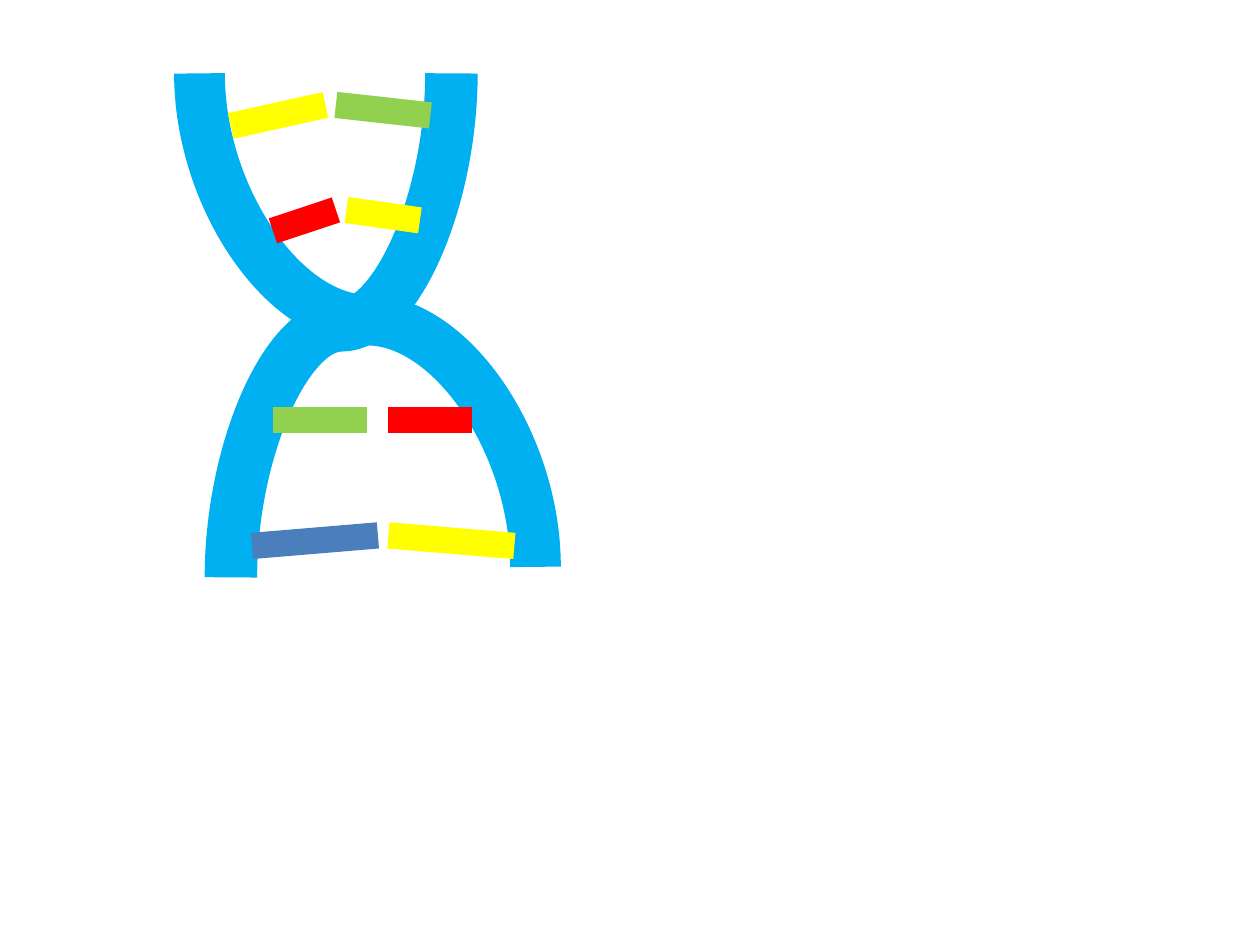
import pptx
import pptx.dml.color
import pptx.enum.shapes
import pptx.oxml
import pptx.oxml.ns
import pptx.util

Cm = pptx.util.Cm
CONNECTOR = pptx.enum.shapes.MSO_CONNECTOR
GRID = 2.54 / 12
BLUE, STEEL, YELLOW, RED, GREEN = "00B0F0", "4B7EBC", "FFFF00", "FF0000", "92D050"

STRANDS = [
    ((0, 0), (32, 47), 29),
    ((24, 0), (3, 48), 30),
]
BASES = [
    ((3, 5), (12, 3), YELLOW),
    ((7, 15), (13, 13), RED),
    ((13, 3), (22, 4), GREEN),
    ((14, 13), (21, 14), YELLOW),
    ((7, 33), (16, 33), GREEN),
    ((18, 33), (26, 33), RED),
    ((5, 45), (17, 44), STEEL),
    ((18, 44), (30, 45), YELLOW),
]


def rgb(color):
    return pptx.dml.color.RGBColor.from_string(color)


def draw_line(slide, kind, start, end, color, width):
    line = slide.shapes.add_connector(kind, *(Cm(v) for v in start + end))
    line.line.color.rgb = rgb(color)
    line.line.width = pptx.util.Pt(width)
    properties = line._element.spPr
    properties.append(pptx.oxml.parse_xml(
        "<a:effectLst %s/>" % pptx.oxml.ns.nsdecls("a")))
    return properties


def draw_strand(slide, top, bottom, width):
    middle_x, middle_y = (top[0] + bottom[0]) / 2, (top[1] + bottom[1]) / 2
    half_run = (bottom[1] - top[1]) / 2
    half_rise = abs(bottom[0] - top[0]) / 2
    rightward = bottom[0] > top[0]
    if rightward:
        half_run = -half_run
    properties = draw_line(
        slide, CONNECTOR.CURVE,
        (middle_x - half_run, middle_y - half_rise),
        (middle_x + half_run, middle_y + half_rise), BLUE, width)
    degrees = 270 if rightward else 90
    properties.find(pptx.oxml.ns.qn("a:xfrm")).set("rot", str(degrees * 60000))


def draw_helix(slide, left, top):
    def place(point):
        return left + point[0] * GRID, top + point[1] * GRID

    for start, end, width in STRANDS:
        draw_strand(slide, place(start), place(end), width)
    for start, end, color in BASES:
        draw_line(slide, CONNECTOR.STRAIGHT, place(start), place(end), color, 15)


deck = pptx.Presentation()
deck.slide_width, deck.slide_height = Cm(25.4), Cm(19.05)
helix_slide = deck.slides.add_slide(deck.slide_layouts[6])
draw_helix(helix_slide, 4.02, 1.48)
deck.save("out.pptx")
